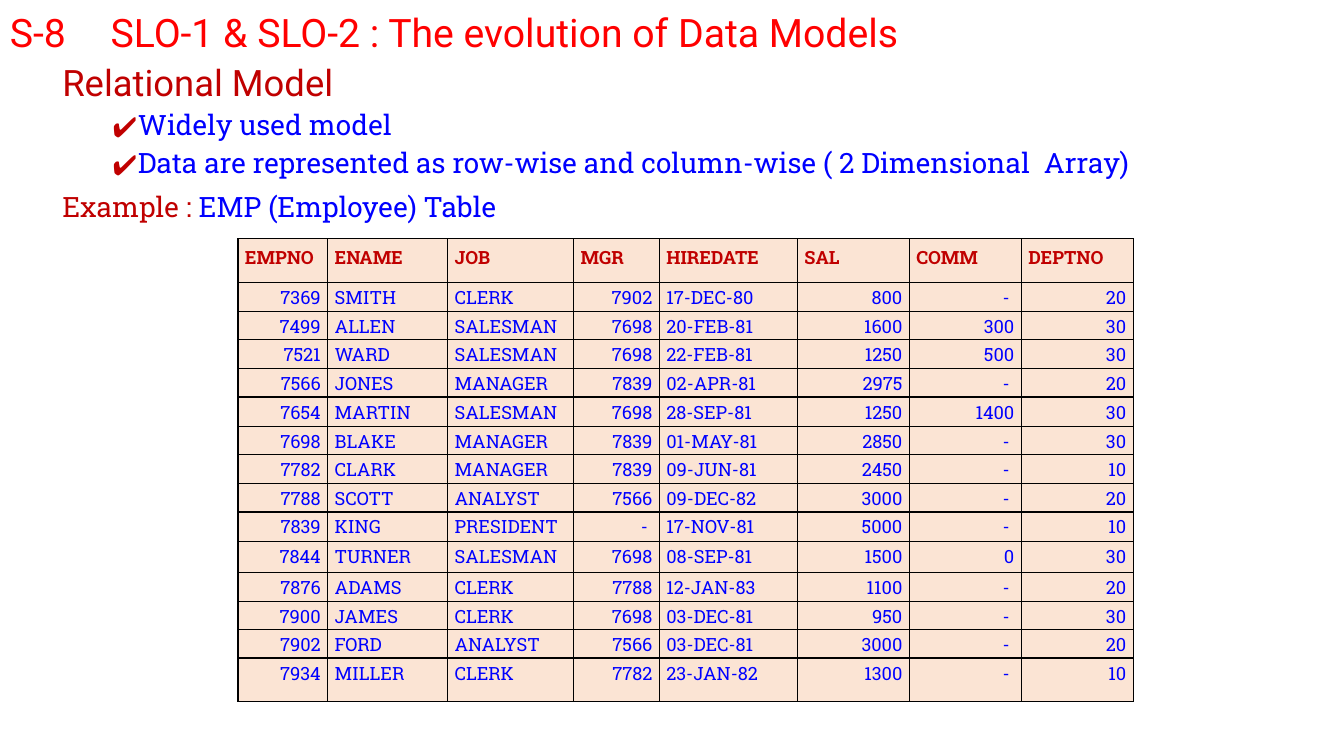
from dataclasses import dataclass

from lxml import etree
from pptx import Presentation
from pptx.dml.color import RGBColor
from pptx.enum.text import MSO_AUTO_SIZE, PP_ALIGN
from pptx.oxml.ns import qn
from pptx.slide import Slide
from pptx.table import _Cell
from pptx.text.text import TextFrame, _Paragraph
from pptx.util import Inches, Pt

RED = RGBColor(0xFF, 0x00, 0x00)
DARK_RED = RGBColor(0xC0, 0x00, 0x00)
BLUE = RGBColor(0x00, 0x00, 0xFF)
BLACK = RGBColor(0x00, 0x00, 0x00)
PEACH = RGBColor(0xFB, 0xE4, 0xD4)

SANS = "Roboto"
SLAB = "Roboto Slab"
BULLET_FONT = "Noto Sans Symbols"
ALIGN_LEFT = PP_ALIGN.LEFT
ALIGN_RIGHT = PP_ALIGN.RIGHT
GROW_TO_FIT = MSO_AUTO_SIZE.SHAPE_TO_FIT_TEXT


@dataclass(frozen=True)
class Span:
    text: str
    size: float
    font: str
    color: RGBColor
    bold: bool = False


@dataclass(frozen=True)
class Line:
    spans: tuple[Span, ...]
    space_before: float = 0
    bulleted: bool = False


@dataclass(frozen=True)
class Column:
    heading: str
    width: float
    align: PP_ALIGN


TITLE = Span("S-8\tSLO-1 & SLO-2 : The evolution of Data Models", 28, SANS, RED)
BODY = (
    Line((Span("Relational Model", 26, SANS, DARK_RED),)),
    Line((Span("Widely used model", 20, SLAB, BLUE),), 5, True),
    Line((Span("Data are represented as row-wise and column-wise ( 2 Dimensional  Array)",
               20, SLAB, BLUE),), 5, True),
    Line((Span("Example : ", 20, SLAB, DARK_RED),
          Span("EMP (Employee) Table", 20, SLAB, BLUE)), 10),
)

COLUMNS = (
    Column("EMPNO", 0.89, ALIGN_RIGHT),
    Column("ENAME", 1.19, ALIGN_LEFT),
    Column("JOB", 1.25, ALIGN_LEFT),
    Column("MGR", 0.85, ALIGN_RIGHT),
    Column("HIREDATE", 1.37, ALIGN_LEFT),
    Column("SAL", 1.11, ALIGN_RIGHT),
    Column("COMM", 1.11, ALIGN_RIGHT),
    Column("DEPTNO", 1.11, ALIGN_RIGHT),
)
EMPLOYEES = """\
7369 SMITH CLERK 7902 17-DEC-80 800 - 20
7499 ALLEN SALESMAN 7698 20-FEB-81 1600 300 30
7521 WARD SALESMAN 7698 22-FEB-81 1250 500 30
7566 JONES MANAGER 7839 02-APR-81 2975 - 20
7654 MARTIN SALESMAN 7698 28-SEP-81 1250 1400 30
7698 BLAKE MANAGER 7839 01-MAY-81 2850 - 30
7782 CLARK MANAGER 7839 09-JUN-81 2450 - 10
7788 SCOTT ANALYST 7566 09-DEC-82 3000 - 20
7839 KING PRESIDENT - 17-NOV-81 5000 - 10
7844 TURNER SALESMAN 7698 08-SEP-81 1500 0 30
7876 ADAMS CLERK 7788 12-JAN-83 1100 - 20
7900 JAMES CLERK 7698 03-DEC-81 950 - 30
7902 FORD ANALYST 7566 03-DEC-81 3000 - 20
7934 MILLER CLERK 7782 23-JAN-82 1300 - 10"""
ROW_HEIGHTS = [0.43, *[0.29, 0.28] * 4, 0.29, 0.31, 0.29, 0.28, 0.28, 0.43]


def add_span(paragraph: _Paragraph, span: Span) -> None:
    run = paragraph.add_run()
    run.text = span.text
    run.font.size = Pt(span.size)
    run.font.name = span.font
    run.font.bold = span.bold
    run.font.color.rgb = span.color


def add_text_box(slide: Slide, left: float, top: float, width: float, height: float) -> TextFrame:
    text_frame = slide.shapes.add_textbox(
        Inches(left), Inches(top), Inches(width), Inches(height)).text_frame
    text_frame.word_wrap = True
    return text_frame


def add_check_bullet(paragraph: _Paragraph) -> None:
    properties = paragraph._p.get_or_add_pPr()
    properties.set("marL", str(Inches(0.75)))
    properties.set("indent", str(Inches(-0.25)))
    bullet_color = etree.SubElement(properties, qn("a:buClr"))
    etree.SubElement(bullet_color, qn("a:srgbClr"), val=str(DARK_RED))
    etree.SubElement(properties, qn("a:buFont"), typeface=BULLET_FONT)
    etree.SubElement(properties, qn("a:buChar"), char="✔")


def add_body(slide: Slide) -> None:
    text_frame = add_text_box(slide, 0.52, 0.6, 11.6, 2.69)
    for index, line in enumerate(BODY):
        paragraph = text_frame.add_paragraph() if index else text_frame.paragraphs[0]
        if line.bulleted:
            add_check_bullet(paragraph)
        paragraph.line_spacing = 0.9
        if line.space_before:
            paragraph.space_before = Pt(line.space_before)
        for span in line.spans:
            add_span(paragraph, span)


def set_borders(cell: _Cell) -> None:
    properties = cell._tc.get_or_add_tcPr()
    for index, side in enumerate(("a:lnL", "a:lnR", "a:lnT", "a:lnB")):
        border = etree.Element(qn(side), w=str(Pt(1)))
        fill = etree.SubElement(border, qn("a:solidFill"))
        etree.SubElement(fill, qn("a:srgbClr"), val=str(BLACK))
        properties.insert(index, border)


def fill_cell(cell: _Cell, span: Span, align: PP_ALIGN, top: float, bottom: float) -> None:
    cell.margin_left = cell.margin_right = Inches(0.07)
    cell.margin_top, cell.margin_bottom = Inches(top), Inches(bottom)
    cell.fill.solid()
    cell.fill.fore_color.rgb = PEACH
    set_borders(cell)
    paragraph = cell.text_frame.paragraphs[0]
    paragraph.alignment = align
    add_span(paragraph, span)


def add_employee_table(slide: Slide) -> None:
    employees = [line.split() for line in EMPLOYEES.splitlines()]
    table = slide.shapes.add_table(
        len(ROW_HEIGHTS), len(COLUMNS), Inches(2.36), Inches(2.37),
        Inches(sum(column.width for column in COLUMNS)), Inches(sum(ROW_HEIGHTS))).table
    table.first_row = table.horz_banding = False
    for row, height in zip(table.rows, ROW_HEIGHTS):
        row.height = Inches(height)
    for column_index, column in enumerate(COLUMNS):
        table.columns[column_index].width = Inches(column.width)
        heading = Span(column.heading, 13, SLAB, DARK_RED, bold=True)
        fill_cell(table.cell(0, column_index), heading, ALIGN_LEFT, 0.07, 0.07)
        for row_index, employee in enumerate(employees, start=1):
            value = employee[column_index]
            text = "- " if value == "-" else value
            fill_cell(table.cell(row_index, column_index), Span(text, 13, SLAB, BLUE),
                      column.align, 0.03, 0.01)


def main() -> None:
    presentation = Presentation()
    presentation.slide_width = Inches(13.33)
    presentation.slide_height = Inches(7.5)
    slide = presentation.slides.add_slide(presentation.slide_layouts[6])
    add_body(slide)
    title_frame = add_text_box(slide, 0, 0.03, 12, 0.57)
    title_frame.auto_size = GROW_TO_FIT
    add_span(title_frame.paragraphs[0], TITLE)
    add_employee_table(slide)
    presentation.save("out.pptx")


if __name__ == "__main__":
    main()
